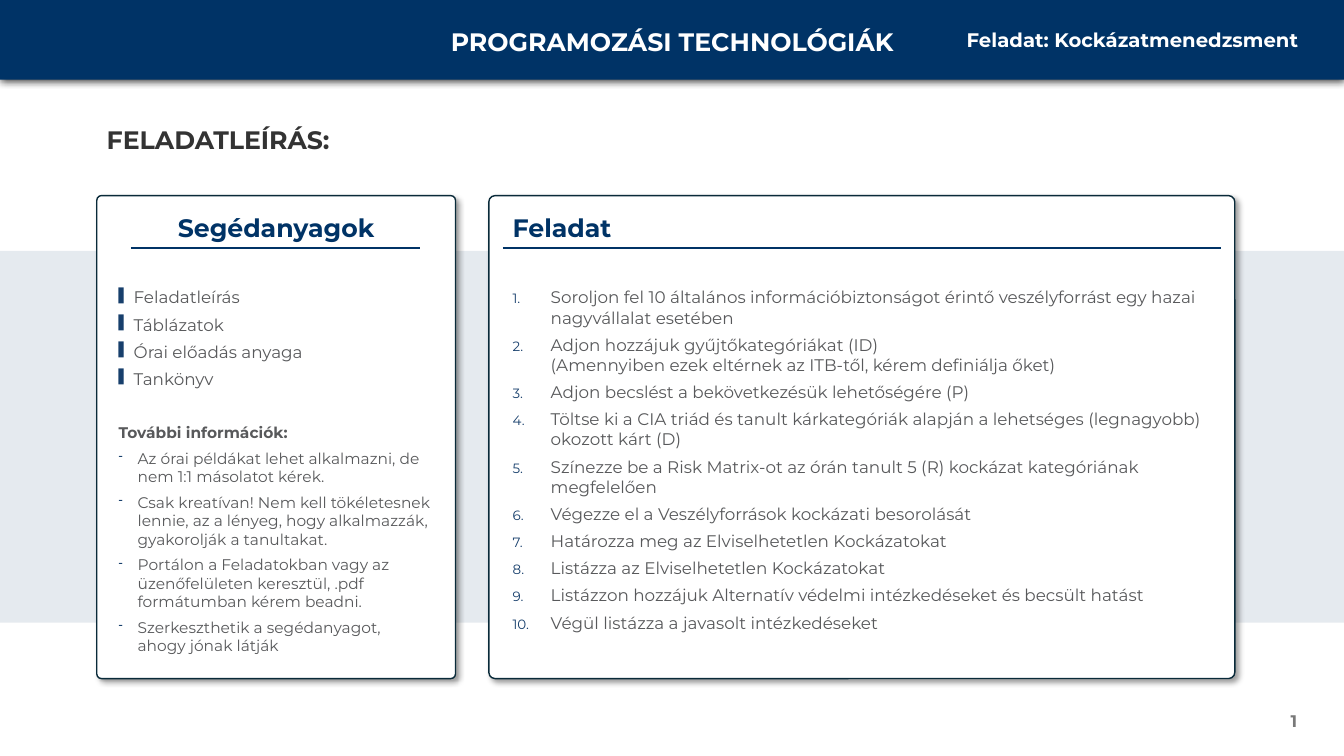
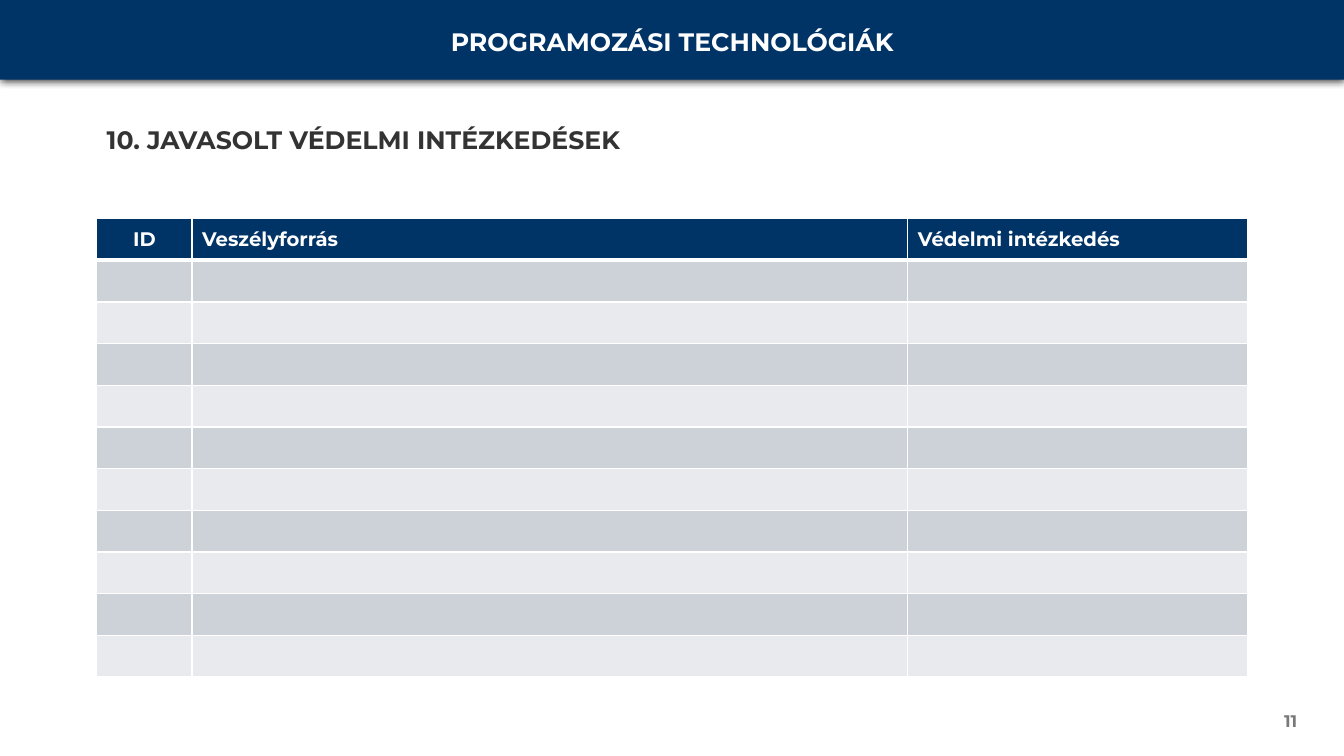
"""Build the risk management assignment slides: task description and measures table."""
from copy import deepcopy

from lxml import etree
from pptx import Presentation
from pptx.dml.color import RGBColor
from pptx.enum.shapes import MSO_CONNECTOR as Connector, MSO_SHAPE as Shape
from pptx.enum.text import MSO_ANCHOR as Anchor, PP_ALIGN as Align
from pptx.oxml import parse_xml
from pptx.oxml.ns import nsdecls, qn
from pptx.util import Cm, Pt

NAVY = RGBColor(0x00, 0x33, 0x66)
BULLET = RGBColor(0x17, 0x3F, 0x6C)
OUTLINE = RGBColor(0x09, 0x2A, 0x39)
WHITE = RGBColor(0xFF, 0xFF, 0xFF)
DARK = RGBColor(0x33, 0x33, 0x33)
TEXT = RGBColor(0x58, 0x59, 0x5B)
GREY = RGBColor(0x79, 0x79, 0x79)
ROW_FILLS = RGBColor(0xCC, 0xD2, 0xD8), RGBColor(0xE8, 0xEA, 0xED)

COURSE = "PROGRAMOZÁSI TECHNOLÓGIÁK"
TOPIC = "Feladat: Kockázatmenedzsment"
MATERIALS = ["Feladatleírás", "Táblázatok", "Órai előadás anyaga", "Tankönyv"]
INFO_TITLE = "További információk:"
INFO = [
    "Az órai példákat lehet alkalmazni, de nem 1:1 másolatot kérek.",
    "Csak kreatívan! Nem kell tökéletesnek lennie, az a lényeg, hogy alkalmazzák, "
    "gyakorolják a tanultakat.",
    "Portálon a Feladatokban vagy az üzenőfelületen keresztül, .pdf formátumban "
    "kérem beadni.",
    "Szerkeszthetik a segédanyagot, ahogy jónak látják",
]
TASKS = [
    "Soroljon fel 10 általános információbiztonságot érintő veszélyforrást egy hazai "
    "nagyvállalat esetében",
    "Adjon hozzájuk gyűjtőkategóriákat (ID)\v"
    "(Amennyiben ezek eltérnek az ITB-től, kérem definiálja őket)",
    "Adjon becslést a bekövetkezésük lehetőségére (P)",
    "Töltse ki a CIA triád és tanult kárkategóriák alapján a lehetséges (legnagyobb) "
    "okozott kárt (D)",
    "Színezze be a Risk Matrix-ot az órán tanult 5 (R) kockázat kategóriának megfelelően",
    "Végezze el a Veszélyforrások kockázati besorolását",
    "Határozza meg az Elviselhetetlen Kockázatokat",
    "Listázza az Elviselhetetlen Kockázatokat",
    "Listázzon hozzájuk Alternatív védelmi intézkedéseket és becsült hatást",
    "Végül listázza a javasolt intézkedéseket",
]
COLUMNS = [("ID", 2.4, Align.CENTER), ("Veszélyforrás", 18.04, Align.LEFT),
           ("Védelmi intézkedés", 8.57, Align.LEFT)]
BODY_ROWS = 10
ROW_HEIGHT = 1.05

PAGE_WIDTH, PAGE_HEIGHT = 33.87, 19.05
LEFT = 2.44
CARD_TOP, CARD_HEIGHT = 4.93, 12.17
BODY_TOP = 7.11

SQUARE = '<a:buChar {ns} char="▌"/>'
DASH = '<a:buChar {ns} char="-"/>'
NUMBER = '<a:buAutoNum {ns} type="arabicPeriod"/>'


def style(size, color, bold=True):
    return {"name": "Montserrat", "size": Pt(size), "bold": bold, "color": color}


def apply_font(font, look):
    for key, value in look.items():
        if key == "color":
            font.color.rgb = value
        else:
            setattr(font, key, value)


def write(para, text, look, align=Align.LEFT):
    para.text = text
    para.alignment = align
    for span in para.runs:
        apply_font(span.font, look)
    for line_break in para._p.findall(qn("a:br")):
        line_break.insert(0, deepcopy(para.runs[0]._r.rPr))


def add_box(page, area):
    box = page.shapes.add_textbox(*map(Cm, area))
    box.text_frame.word_wrap = True
    return box.text_frame


def add_label(page, area, text, look, align=Align.LEFT, anchor=Anchor.TOP):
    frame = add_box(page, area)
    frame.vertical_anchor = anchor
    write(frame.paragraphs[0], text, look, align)


def add_bullet(para, mark, indent):
    props = para._p.get_or_add_pPr()
    props.set("marL", str(Cm(indent)))
    props.set("indent", str(-Cm(indent)))
    for xml in (f'<a:buClr {{ns}}><a:srgbClr val="{BULLET}"/></a:buClr>',
                '<a:buSzPct {ns} val="80000"/>', mark):
        props.append(parse_xml(xml.format(ns=nsdecls("a"))))


def add_list(page, area, items):
    frame = add_box(page, area)
    for index, (text, look, mark, indent, before) in enumerate(items):
        para = frame.add_paragraph() if index else frame.paragraphs[0]
        para.space_before = Pt(before if index else 0)
        para.space_after = Pt(2)
        if mark:
            add_bullet(para, mark, indent)
        write(para, text, look)


def add_panel(page, kind, area, fill, line=None):
    panel = page.shapes.add_shape(kind, *map(Cm, area))
    panel.shadow.inherit = False
    panel.fill.solid()
    panel.fill.fore_color.rgb = fill
    if line:
        panel.line.color.rgb = line
        panel.line.width = Pt(1)
    else:
        panel.line.fill.background()
    return panel


def add_shadow(panel, alpha, blur, distance, angle):
    effects = panel._element.spPr.find(qn("a:effectLst"))
    effects.append(parse_xml(
        f'<a:outerShdw {nsdecls("a")} blurRad="{Pt(blur)}" dist="{Pt(distance)}" '
        f'dir="{angle * 60000}" algn="t" rotWithShape="0"><a:srgbClr val="000000">'
        f'<a:alpha val="{alpha * 1000}"/></a:srgbClr></a:outerShdw>'))


def add_rule(page, start, end, top):
    rule = page.shapes.add_connector(
        Connector.STRAIGHT, Cm(start), Cm(top), Cm(end), Cm(top))
    rule.line.color.rgb = NAVY
    rule.line.width = Pt(1.5)
    etree.SubElement(rule._element.spPr, qn("a:effectLst"))


def add_frame(page, section, number):
    header = add_panel(page, Shape.RECTANGLE, (0, 0, PAGE_WIDTH, 2.01), NAVY)
    add_shadow(header, 80, 6, 0, 90)
    add_label(page, (10.31, 0.53, 13.26, 1.02), COURSE, style(18, WHITE), Align.CENTER)
    add_label(page, (LEFT, 3.02, 29.01, 1.02), section, style(18, DARK))
    add_label(page, (25.32, 17.65, 7.62, 1.02), str(number), style(12, GREY),
              Align.RIGHT, Anchor.MIDDLE)


def add_card(page, left, width, title, title_area, align, rule):
    card = add_panel(page, Shape.ROUNDED_RECTANGLE,
                     (left, CARD_TOP, width, CARD_HEIGHT), WHITE, OUTLINE)
    card.adjustments[0] = 0.013
    add_shadow(card, 40, 4, 3, 45)
    title_left, title_width = title_area
    add_label(page, (title_left, 5.23, title_width, 1.02), title, style(18, NAVY), align)
    add_rule(page, *rule, 6.25)


def build_task_page(page):
    band = add_panel(page, Shape.RECTANGLE, (0, 6.32, PAGE_WIDTH, 9.37), NAVY)
    color = band._element.spPr.find(qn("a:solidFill"))[0]
    etree.SubElement(color, qn("a:alpha"), val="10000")
    add_frame(page, "FELADATLEÍRÁS:", 1)
    add_label(page, (23.8, 0.58, 9.17, 0.86), TOPIC, style(14, WHITE), Align.RIGHT)
    add_card(page, LEFT, 9.04, "Segédanyagok", (LEFT, 9.04), Align.CENTER, (3.3, 10.59))
    add_card(page, 12.32, 18.8, "Feladat", (12.67, 18.11), Align.LEFT, (12.67, 30.78))
    normal, small = style(12, TEXT, False), style(11, TEXT, False)
    height = CARD_TOP + CARD_HEIGHT - BODY_TOP
    add_list(page, (2.74, BODY_TOP, 8.41, height),
             [(text, normal, SQUARE, 0.38, 3) for text in MATERIALS]
             + [(INFO_TITLE, style(11, TEXT), None, 0, 22.6)]
             + [(text, small, DASH, 0.48, 3) for text in INFO])
    add_list(page, (12.67, BODY_TOP, 18.11, height),
             [(text, normal, NUMBER, 0.96, 3) for text in TASKS])


def set_borders(cell, widths):
    props = cell._tc.get_or_add_tcPr()
    for index, (side, width) in enumerate(widths.items()):
        props.insert(index, parse_xml(
            f'<a:ln{side} {nsdecls("a")} w="{Pt(width)}"><a:solidFill>'
            f'<a:srgbClr val="{WHITE}"/></a:solidFill></a:ln{side}>'))


def build_table_page(page):
    add_frame(page, "10. JAVASOLT VÉDELMI INTÉZKEDÉSEK", 11)
    rows = BODY_ROWS + 1
    width = sum(column[1] for column in COLUMNS)
    table = page.shapes.add_table(rows, len(COLUMNS), Cm(LEFT), Cm(5.51), Cm(width),
                                  Cm(rows * ROW_HEIGHT)).table
    for row in table.rows:
        row.height = Cm(ROW_HEIGHT)
    for col, (title, column_width, align) in enumerate(COLUMNS):
        table.columns[col].width = Cm(column_width)
        for row in range(rows):
            cell = table.cell(row, col)
            cell.fill.solid()
            cell.fill.fore_color.rgb = ROW_FILLS[(row - 1) % 2] if row else NAVY
            set_borders(cell, {"L": 1, "R": 1, "T": 3 if row == 1 else 1,
                               "B": 1 if row else 3})
        heading = table.cell(0, col)
        heading.vertical_anchor = Anchor.MIDDLE
        write(heading.text_frame.paragraphs[0], title, style(14, WHITE), align)


def main():
    deck = Presentation()
    deck.slide_width, deck.slide_height = Cm(PAGE_WIDTH), Cm(PAGE_HEIGHT)
    for build in (build_task_page, build_table_page):
        build(deck.slides.add_slide(deck.slide_layouts[6]))
    deck.save("out.pptx")


if __name__ == "__main__":
    main()
